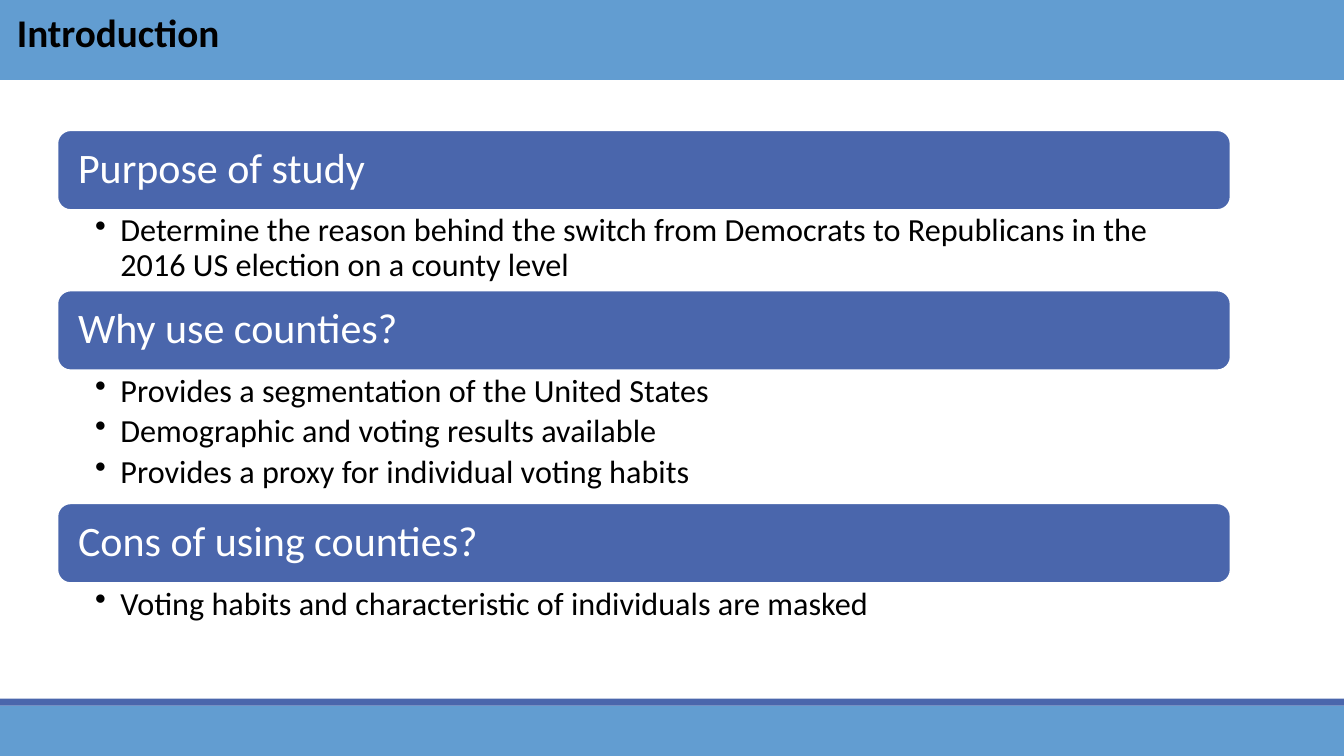
import pptx
import pptx.util
import pptx.dml.color
import pptx.enum.shapes
import pptx.enum.text
import lxml.etree

Pt = pptx.util.Pt
Shape = pptx.enum.shapes.MSO_SHAPE
Anchor = pptx.enum.text.MSO_ANCHOR
Align = pptx.enum.text.PP_ALIGN
color = pptx.dml.color.RGBColor.from_string

theme = {
    "font": "Calibri",
    "sky": "629DD1", "indigo": "4A66AC", "white": "FFFFFF", "black": "000000",
    "title": 28, "heading": 30, "bullet": 23,
}

deck = pptx.Presentation()
deck.slide_width, deck.slide_height = Pt(960), Pt(540)
page = deck.slides.add_slide(deck.slide_layouts[6])


def add_block(kind, bounds, fill=None, outline=None):
    block = page.shapes.add_shape(kind, *map(Pt, bounds))
    block.shadow.inherit = False
    if fill:
        block.fill.solid()
        block.fill.fore_color.rgb = color(theme[fill])
    else:
        block.fill.background()
    if outline:
        block.line.color.rgb = color(theme[outline])
        block.line.width = Pt(1.25)
    else:
        block.line.fill.background()
    return block


def write(block, lines, size, ink, frame_format, bold=False, bulleted=False):
    frame = block.text_frame
    for name, value in {"word_wrap": True, **frame_format}.items():
        setattr(frame, name, value)
    for index, line in enumerate(lines):
        para = frame.paragraphs[0] if index == 0 else frame.add_paragraph()
        span = para.add_run()
        span.text = line
        para_format = {"alignment": Align.LEFT, "line_spacing": 0.9}
        if bulleted:
            para_format["space_after"] = Pt(4)
            properties = para._p.get_or_add_pPr()
            properties.set("marL", str(Pt(18)))
            properties.set("indent", str(-Pt(18)))
        for name, value in para_format.items():
            setattr(para, name, value)
        if bulleted:
            bullet = lxml.etree.SubElement(properties, pptx.oxml.ns.qn("a:buChar"))
            bullet.set("char", "•")
        for name, value in {"name": theme["font"], "size": Pt(theme[size]), "bold": bold}.items():
            setattr(span.font, name, value)
        span.font.color.rgb = color(theme[ink])


bars = [
    ((0, 504, 960, 36), "sky"),
    ((0, 499, 960, 5), "indigo"),
    ((0, 0, 960, 57), "sky"),
]
for bounds, fill in bars:
    add_block(Shape.RECTANGLE, bounds, fill)

title = add_block(Shape.RECTANGLE, (5, 6, 828, 40), "sky")
write(title, ["Introduction"], "title", "black", {"vertical_anchor": Anchor.TOP}, bold=True)

sections = [
    ("Purpose of study", 57.5, [
        "Determine the reason behind the switch from Democrats to Republicans in the "
        "2016 US election on a county level",
    ]),
    ("Why use counties?", 95, [
        "Provides a segmentation of the United States",
        "Demographic and voting results available",
        "Provides a proxy for individual voting habits",
    ]),
    ("Cons of using counties?", 39, [
        "Voting habits and characteristic of individuals are masked",
    ]),
]
left, width, heading_height = 41, 838, 57
heading_format = {"vertical_anchor": Anchor.MIDDLE, "margin_left": Pt(12), "margin_right": Pt(12)}
detail_format = {
    "vertical_anchor": Anchor.TOP, "margin_left": Pt(27), "margin_right": Pt(16.5),
    "margin_top": Pt(3), "margin_bottom": Pt(3),
}

top = 93
for heading, detail_height, details in sections:
    banner = add_block(Shape.ROUNDED_RECTANGLE, (left, top, width, heading_height), "indigo", "white")
    write(banner, [heading], "heading", "white", heading_format)
    top += heading_height
    box = page.shapes.add_textbox(*map(Pt, (left, top, width, detail_height)))
    write(box, details, "bullet", "black", detail_format, bulleted=True)
    top += detail_height

deck.save("out.pptx")
